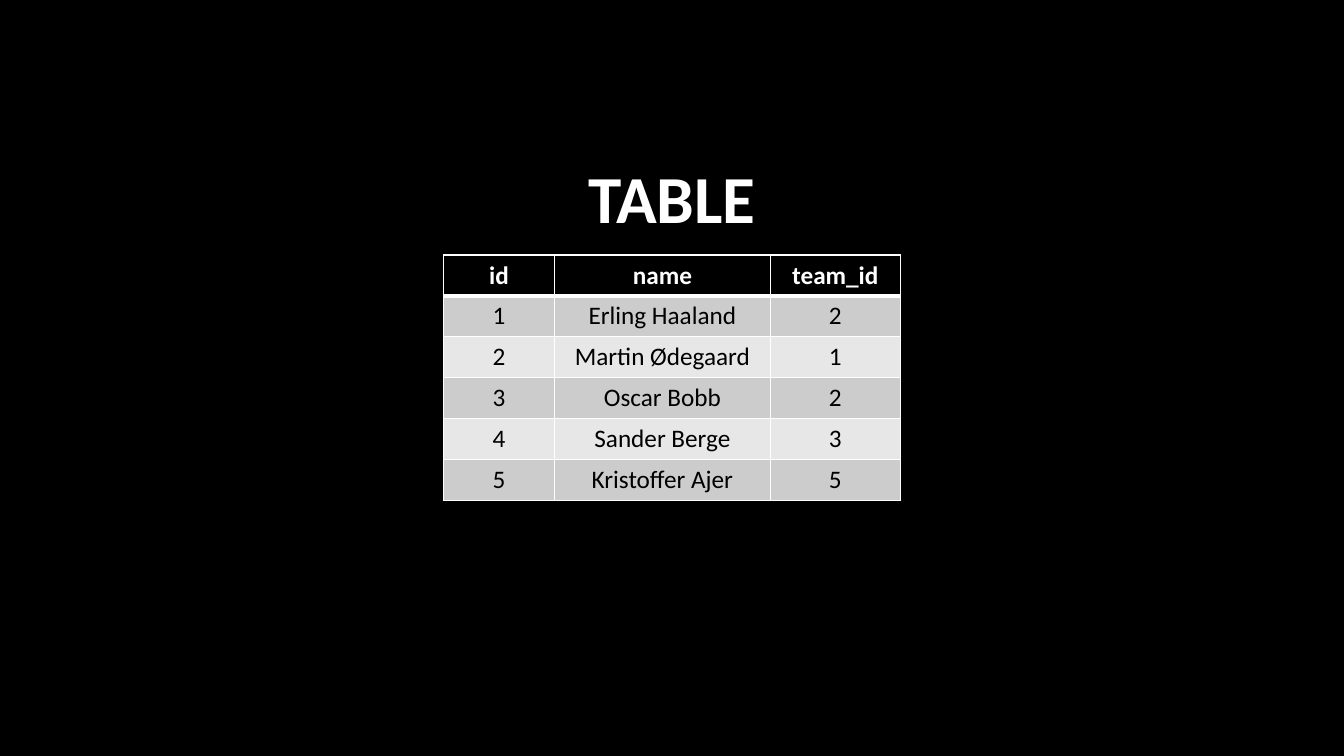
from lxml import etree
from pptx import Presentation
from pptx.dml.color import RGBColor
from pptx.enum.text import MSO_ANCHOR, MSO_AUTO_SIZE, PP_ALIGN
from pptx.oxml.ns import qn
from pptx.util import Inches, Pt

CENTER = PP_ALIGN.CENTER
TOP = MSO_ANCHOR.TOP
GROW = MSO_AUTO_SIZE.SHAPE_TO_FIT_TEXT
FONT = "Calibri"
COLORS = {
    "black": "000000",
    "white": "FFFFFF",
    "dark_band": "CCCCCC",
    "light_band": "E7E7E7",
}
SLIDE_WIDTH, SLIDE_HEIGHT = 13.33, 7.5
COLUMN_WIDTHS = (1.1, 2.14, 1.29)
ROW_HEIGHT = 0.405
TABLE_TOP = 2.53
TITLE_TOP, TITLE_WIDTH, TITLE_HEIGHT = 1.5, 2.4, 0.91
THIN, THICK = 1, 3
PLAYERS = (
    ("id", "name", "team_id"),
    ("1", "Erling Haaland", "2"),
    ("2", "Martin Ødegaard", "1"),
    ("3", "Oscar Bobb", "2"),
    ("4", "Sander Berge", "3"),
    ("5", "Kristoffer Ajer", "5"),
)


def color(name):
    """Return the named colour as an RGB value."""
    return RGBColor.from_string(COLORS[name])


def centered(width):
    """Return the left edge that centres a width on the slide."""
    return Inches((SLIDE_WIDTH - width) / 2)


def write_text(frame, text, size=18, ink="black", bold=False):
    """Write one centred line of formatted text into a frame."""
    para = frame.paragraphs[0]
    para.alignment = CENTER
    span = para.add_run()
    span.text = text
    span.font.name = FONT
    span.font.size = Pt(size)
    span.font.bold = bold
    span.font.color.rgb = color(ink)


def add_border(cell, side, width):
    """Draw a solid white border on one side of a cell."""
    properties = cell._tc.get_or_add_tcPr()
    line = etree.SubElement(properties, qn(f"a:ln{side}"), w=str(Pt(width)))
    fill = etree.SubElement(line, qn("a:solidFill"))
    etree.SubElement(fill, qn("a:srgbClr"), val=COLORS["white"])


def fill_cell(cell, text, row):
    """Give a cell its borders, fill and text according to its row."""
    header = row == 0
    widths = {
        "L": THIN,
        "R": THIN,
        "T": THICK if row == 1 else THIN,
        "B": THICK if header else THIN,
    }
    for side, width in widths.items():
        add_border(cell, side, width)
    band = "dark_band" if row % 2 else "light_band"
    cell.fill.solid()
    cell.fill.fore_color.rgb = color("black" if header else band)
    cell.vertical_anchor = TOP
    write_text(cell.text_frame, text, ink="white" if header else "black", bold=header)


def add_player_table(page):
    """Add the centred table of players."""
    width = sum(COLUMN_WIDTHS)
    table = page.shapes.add_table(
        len(PLAYERS), len(COLUMN_WIDTHS), centered(width), Inches(TABLE_TOP),
        Inches(width), Inches(ROW_HEIGHT * len(PLAYERS)),
    ).table
    for column, column_width in zip(table.columns, COLUMN_WIDTHS):
        column.width = Inches(column_width)
    for row, values in enumerate(PLAYERS):
        for index, text in enumerate(values):
            fill_cell(table.cell(row, index), text, row)


def add_title(page, text):
    """Add the centred heading above the table."""
    box = page.shapes.add_textbox(
        centered(TITLE_WIDTH), Inches(TITLE_TOP),
        Inches(TITLE_WIDTH), Inches(TITLE_HEIGHT),
    )
    box.text_frame.word_wrap = True
    box.text_frame.auto_size = GROW
    write_text(box.text_frame, text, size=48, ink="white", bold=True)


def main():
    """Build the slide and save the deck."""
    deck = Presentation()
    deck.slide_width = Inches(SLIDE_WIDTH)
    deck.slide_height = Inches(SLIDE_HEIGHT)
    page = deck.slides.add_slide(deck.slide_layouts[6])
    page.background.fill.solid()
    page.background.fill.fore_color.rgb = color("black")
    add_player_table(page)
    add_title(page, "TABLE")
    deck.save("out.pptx")


if __name__ == "__main__":
    main()
